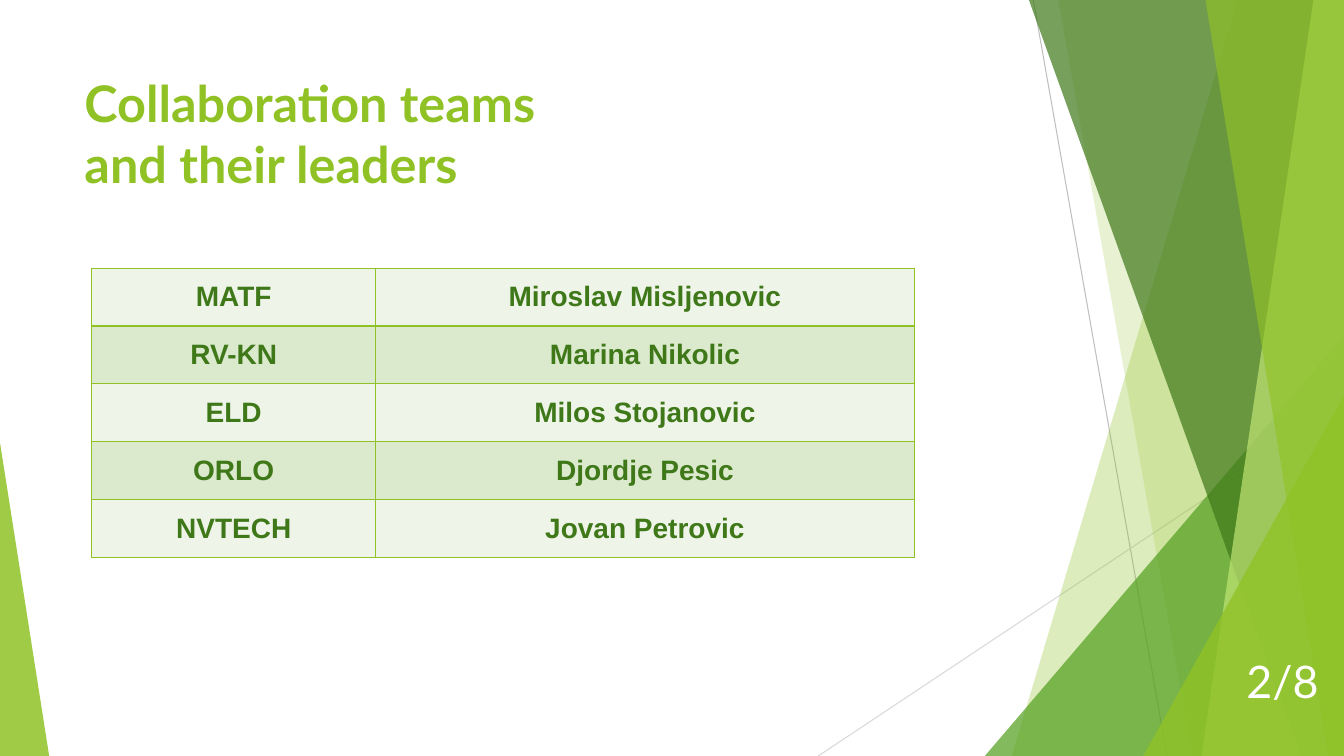
from dataclasses import dataclass

from lxml.etree import SubElement
from pptx import Presentation
from pptx.dml.color import RGBColor
from pptx.enum.shapes import MSO_CONNECTOR, MSO_SHAPE
from pptx.enum.text import MSO_ANCHOR, PP_ALIGN
from pptx.oxml.ns import qn
from pptx.util import Cm, Pt


@dataclass(frozen=True)
class Theme:
    """Colours, fonts and type sizes of the slide."""
    lime: str = "90C226"
    green: str = "54A021"
    forest: str = "3F7819"
    pale_lime: str = "C0E474"
    white: str = "FFFFFF"
    line: str = "BFBFBF"
    light_line: str = "D9D9D9"
    bands: tuple = ("EEF4E8", "DBE9CD")
    heading_font: str = "Lato"
    table_font: str = "Arial"
    title_size: int = 36
    page_size: int = 32
    table_size: int = 20


@dataclass(frozen=True)
class Box:
    """A region of the slide in centimetres."""
    left: float
    top: float
    width: float
    height: float

    @property
    def right(self):
        """Return the right edge."""
        return self.left + self.width

    @property
    def bottom(self):
        """Return the bottom edge."""
        return self.top + self.height

    def lengths(self):
        """Return left, top, width and height as lengths."""
        return Cm(self.left), Cm(self.top), Cm(self.width), Cm(self.height)


THEME = Theme()
SLIDE = Box(0, 0, 33.87, 19.05)
TEAMS = (
    ("MATF", "Miroslav Misljenovic"),
    ("RV-KN", "Marina Nikolic"),
    ("ELD", "Milos Stojanovic"),
    ("ORLO", "Djordje Pesic"),
    ("NVTECH", "Jovan Petrovic"),
)


def write_text(frame, text, *, size, font, color, bold=False,
               align=PP_ALIGN.LEFT, space_before=0):
    """Put formatted text into the first paragraph of a text frame."""
    frame.text = text
    paragraph = frame.paragraphs[0]
    paragraph.alignment = align
    paragraph.space_before = Pt(space_before)
    for run in paragraph.runs:
        run.font.size = Pt(size)
        run.font.name = font
        run.font.bold = bold
        run.font.color.rgb = RGBColor.from_string(color)


def add_text_box(slide, box, text, anchor, **text_format):
    """Add a wrapping text box that fills the given box."""
    frame = slide.shapes.add_textbox(*box.lengths()).text_frame
    frame.word_wrap = True
    frame.vertical_anchor = anchor
    write_text(frame, text, **text_format)


def paint(shape, color, opacity):
    """Give a shape a translucent fill without outline or shadow."""
    shape.shadow.inherit = False
    shape.line.fill.background()
    shape.fill.solid()
    shape.fill.fore_color.rgb = RGBColor.from_string(color)
    color_element = shape.fill._xPr.find(qn("a:solidFill"))[0]
    SubElement(color_element, qn("a:alpha")).set("val", str(opacity * 1000))


def add_line(slide, start, end, color):
    """Add a thin straight line between two points."""
    connector = slide.shapes.add_connector(
        MSO_CONNECTOR.STRAIGHT, *map(Cm, start + end))
    connector.line.width = Pt(0.75)
    connector.line.color.rgb = RGBColor.from_string(color)
    SubElement(connector._element.spPr, qn("a:effectLst"))


def add_facet(slide, box, top_left, bottom_left, color, opacity):
    """Add a full-height facet with a slanted left edge."""
    builder = slide.shapes.build_freeform(Cm(top_left), Cm(box.top))
    corners = ((box.right, box.top), (box.right, box.bottom),
               (bottom_left, box.bottom))
    builder.add_line_segments([(Cm(x), Cm(y)) for x, y in corners])
    paint(builder.convert_to_shape(), color, opacity)


def add_triangle(slide, box, apex, color, opacity):
    """Add a triangle whose apex lies at a fraction of its width."""
    shape = slide.shapes.add_shape(
        MSO_SHAPE.ISOSCELES_TRIANGLE, *box.lengths())
    shape.adjustments[0] = apex
    paint(shape, color, opacity)


def add_decoration(slide, box):
    """Layer the lines, facets and triangles along the edges of the box."""
    add_line(slide, (box.left + 26.04, box.top),
             (box.left + 29.41, box.bottom), THEME.line)
    add_line(slide, (box.right, box.top + 10.24),
             (box.left + 20.62, box.bottom), THEME.light_line)
    layers = (
        (add_facet, 31.19, 25.5, THEME.lime, 30),
        (add_facet, 26.67, 30.05, THEME.lime, 20),
        (add_triangle, 9.05, 10.59, THEME.green, 72),
        (add_facet, 25.93, 32.79, THEME.forest, 70),
        (add_facet, 33.1, 30.28, THEME.pale_lime, 70),
        (add_facet, 30.38, 33.48, THEME.lime, 65),
        (add_triangle, 5.06, 9.07, THEME.lime, 80),
    )
    for add_layer, first, second, color, opacity in layers:
        if add_layer is add_facet:
            add_facet(slide, box, box.left + first, box.left + second,
                      color, opacity)
        else:
            corner = Box(box.right - first, box.bottom - second, first, second)
            add_triangle(slide, corner, 1, color, opacity)
    add_triangle(slide, Box(box.left, box.bottom - 7.9, 1.24, 7.9), 0,
                 THEME.lime, 85)


def add_borders(cell):
    """Draw a one-point border on every side of a cell."""
    properties = cell._tc.get_or_add_tcPr()
    for position, side in enumerate(("lnL", "lnR", "lnT", "lnB")):
        border = SubElement(properties, qn(f"a:{side}"), w=str(Pt(1)))
        fill = SubElement(border, qn("a:solidFill"))
        SubElement(fill, qn("a:srgbClr"), val=THEME.lime)
        properties.insert(position, border)


def add_team_table(slide, box, teams):
    """Add the banded table of teams and leaders."""
    table = slide.shapes.add_table(len(teams), 2, *box.lengths()).table
    table.first_row = False
    table.horz_banding = False
    team_width = 7.16
    table.columns[0].width = Cm(team_width)
    table.columns[1].width = Cm(box.width - team_width)
    for row, team in enumerate(teams):
        table.rows[row].height = Cm(box.height / len(teams))
        for column, text in enumerate(team):
            cell = table.cell(row, column)
            cell.vertical_anchor = MSO_ANCHOR.MIDDLE
            cell.margin_left = cell.margin_right = Cm(0.18)
            cell.margin_top = cell.margin_bottom = 0
            cell.fill.solid()
            cell.fill.fore_color.rgb = RGBColor.from_string(
                THEME.bands[row % len(THEME.bands)])
            add_borders(cell)
            write_text(cell.text_frame, text, size=THEME.table_size,
                       font=THEME.table_font, color=THEME.forest, bold=True,
                       align=PP_ALIGN.CENTER, space_before=10)


def add_team_slide(presentation, box):
    """Add the slide that lists the teams and their leaders."""
    slide = presentation.slides.add_slide(presentation.slide_layouts[6])
    add_decoration(slide, box)
    add_text_box(slide, Box(box.left + 1.88, box.top + 1.7, 23.88, 3.66),
                 "Collaboration teams\vand their leaders", MSO_ANCHOR.TOP,
                 size=THEME.title_size, font=THEME.heading_font,
                 color=THEME.lime, bold=True)
    add_team_table(slide, Box(box.left + 2.31, box.top + 6.76, 20.73, 7.28),
                   TEAMS)
    add_text_box(slide, Box(box.right - 4.86, box.bottom - 2.97, 4.47, 2.16),
                 "2/8", MSO_ANCHOR.MIDDLE, size=THEME.page_size,
                 font=THEME.heading_font, color=THEME.white,
                 align=PP_ALIGN.RIGHT)


def main():
    """Build and save the presentation."""
    presentation = Presentation()
    presentation.slide_width = Cm(SLIDE.width)
    presentation.slide_height = Cm(SLIDE.height)
    add_team_slide(presentation, SLIDE)
    presentation.save("out.pptx")


if __name__ == "__main__":
    main()
